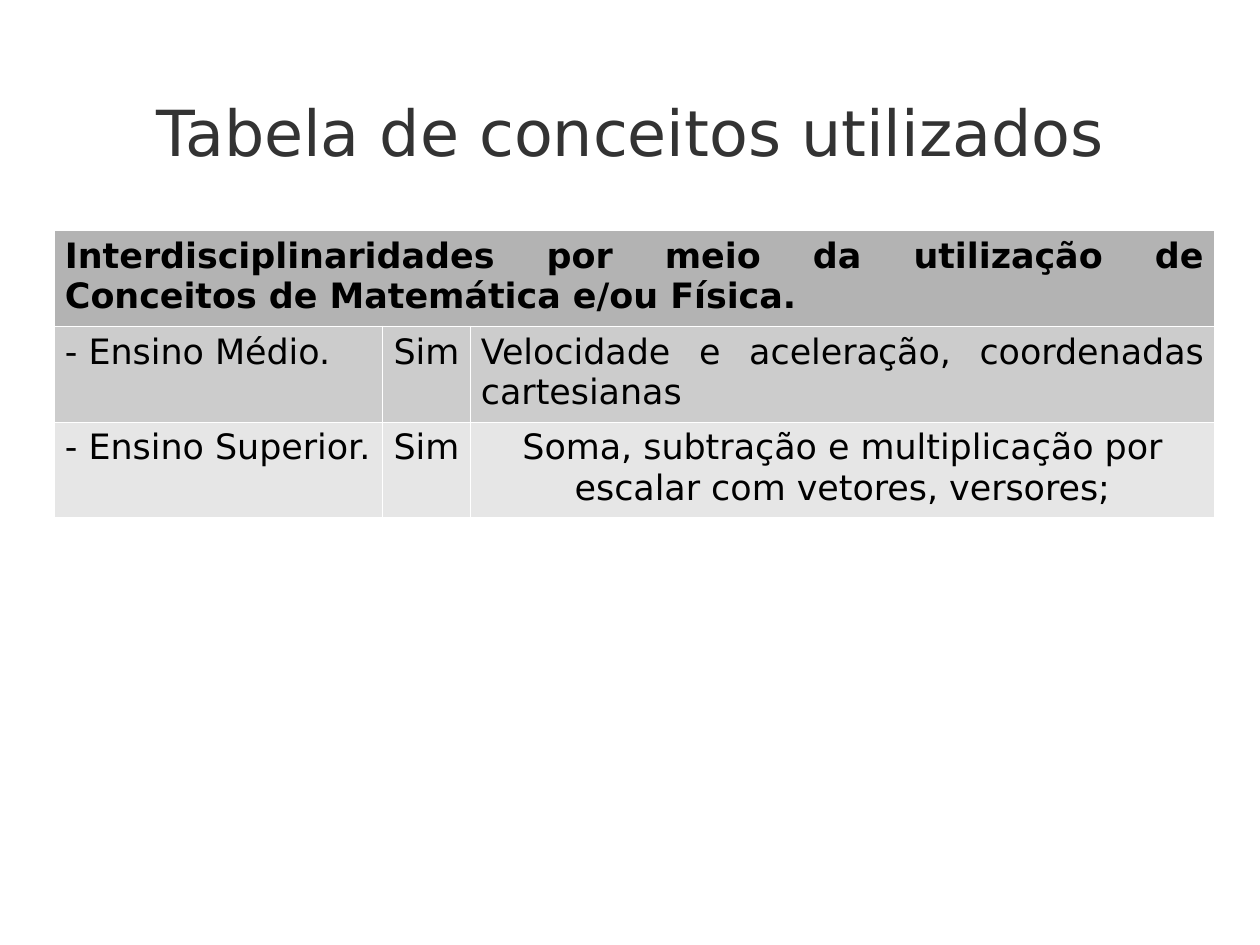
from dataclasses import dataclass

from lxml.etree import SubElement
from pptx import Presentation
from pptx.dml.color import RGBColor
from pptx.enum.text import MSO_ANCHOR, PP_ALIGN
from pptx.oxml.ns import qn
from pptx.slide import Slide
from pptx.table import Table, _Cell
from pptx.text.text import TextFrame
from pptx.util import Emu, Pt

PX = 8000
FONT = "DejaVu Sans"
COLORS = {
    "title": "333333",
    "text": "000000",
    "border": "FFFFFF",
    "heading": "B3B3B3",
    "medio": "CCCCCC",
    "superior": "E6E6E6",
}
COLUMN_WIDTHS = (328, 88, 744)
ROW_HEIGHT = 93


@dataclass(frozen=True)
class Concept:
    level: str
    used: str
    topics: str
    topics_align: PP_ALIGN
    fill: str


HEADING = "Interdisciplinaridades por meio da utilização de Conceitos de Matemática e/ou Física."
CONCEPTS = (
    Concept("- Ensino Médio.", "Sim", "Velocidade e aceleração, coordenadas cartesianas",
            PP_ALIGN.JUSTIFY, "medio"),
    Concept("- Ensino Superior.", "Sim",
            "Soma, subtração e multiplicação por escalar com vetores, versores;",
            PP_ALIGN.CENTER, "superior"),
)


def px(length: int) -> Emu:
    """Turn whole pixels into EMU."""
    return Emu(length * PX)


def write(frame: TextFrame, text: str, *, size: int = 22, color: str = "text",
          bold: bool = False, align: PP_ALIGN = PP_ALIGN.CENTER) -> None:
    """Put one formatted paragraph in a text frame."""
    frame.word_wrap = True
    paragraph = frame.paragraphs[0]
    paragraph.alignment = align
    run = paragraph.add_run()
    run.text = text
    run.font.name = FONT
    run.font.size = Pt(size)
    run.font.bold = bold
    run.font.color.rgb = RGBColor.from_string(COLORS[color])


def style_cell(cell: _Cell, fill: str) -> None:
    """Set the margins, hairline borders and fill of a cell."""
    cell.margin_left, cell.margin_right = px(11), px(10)
    cell.margin_top = cell.margin_bottom = px(6)
    properties = cell._tc.get_or_add_tcPr()
    for side in ("a:lnL", "a:lnR", "a:lnT", "a:lnB"):
        line = SubElement(properties, qn(side), w=str(Pt(0.06)))
        solid = SubElement(line, qn("a:solidFill"))
        SubElement(solid, qn("a:srgbClr"), val=COLORS["border"])
    cell.fill.solid()
    cell.fill.fore_color.rgb = RGBColor.from_string(COLORS[fill])


def add_title(slide: Slide) -> None:
    """Add the slide title."""
    frame = slide.shapes.add_textbox(px(88), px(56), px(1085), px(150)).text_frame
    frame.margin_left = frame.margin_right = frame.margin_top = frame.margin_bottom = 0
    frame.vertical_anchor = MSO_ANCHOR.MIDDLE
    write(frame, "Tabela de conceitos utilizados", size=40, color="title")


def fill_concept(table: Table, row: int, concept: Concept) -> None:
    """Write one concept in its table row."""
    entries = (
        (concept.level, PP_ALIGN.JUSTIFY),
        (concept.used, PP_ALIGN.CENTER),
        (concept.topics, concept.topics_align),
    )
    for column, (text, align) in enumerate(entries):
        cell = table.cell(row, column)
        style_cell(cell, concept.fill)
        write(cell.text_frame, text, align=align)


def add_concept_table(slide: Slide) -> None:
    """Add the table of concepts under its merged heading."""
    row_count = len(CONCEPTS) + 1
    table = slide.shapes.add_table(
        row_count, len(COLUMN_WIDTHS), px(54), px(230),
        px(sum(COLUMN_WIDTHS)), px(ROW_HEIGHT * row_count)).table
    for column, width in zip(table.columns, COLUMN_WIDTHS):
        column.width = px(width)
    for column in range(len(COLUMN_WIDTHS)):
        style_cell(table.cell(0, column), "heading")
    heading = table.cell(0, 0)
    heading.merge(table.cell(0, len(COLUMN_WIDTHS) - 1))
    write(heading.text_frame, HEADING, bold=True, align=PP_ALIGN.JUSTIFY)
    for row, concept in enumerate(CONCEPTS, start=1):
        fill_concept(table, row, concept)


def main() -> None:
    """Build and save the slide."""
    presentation = Presentation()
    presentation.slide_width, presentation.slide_height = px(1260), px(945)
    slide = presentation.slides.add_slide(presentation.slide_layouts[6])
    add_title(slide)
    add_concept_table(slide)
    presentation.save("out.pptx")


if __name__ == "__main__":
    main()
